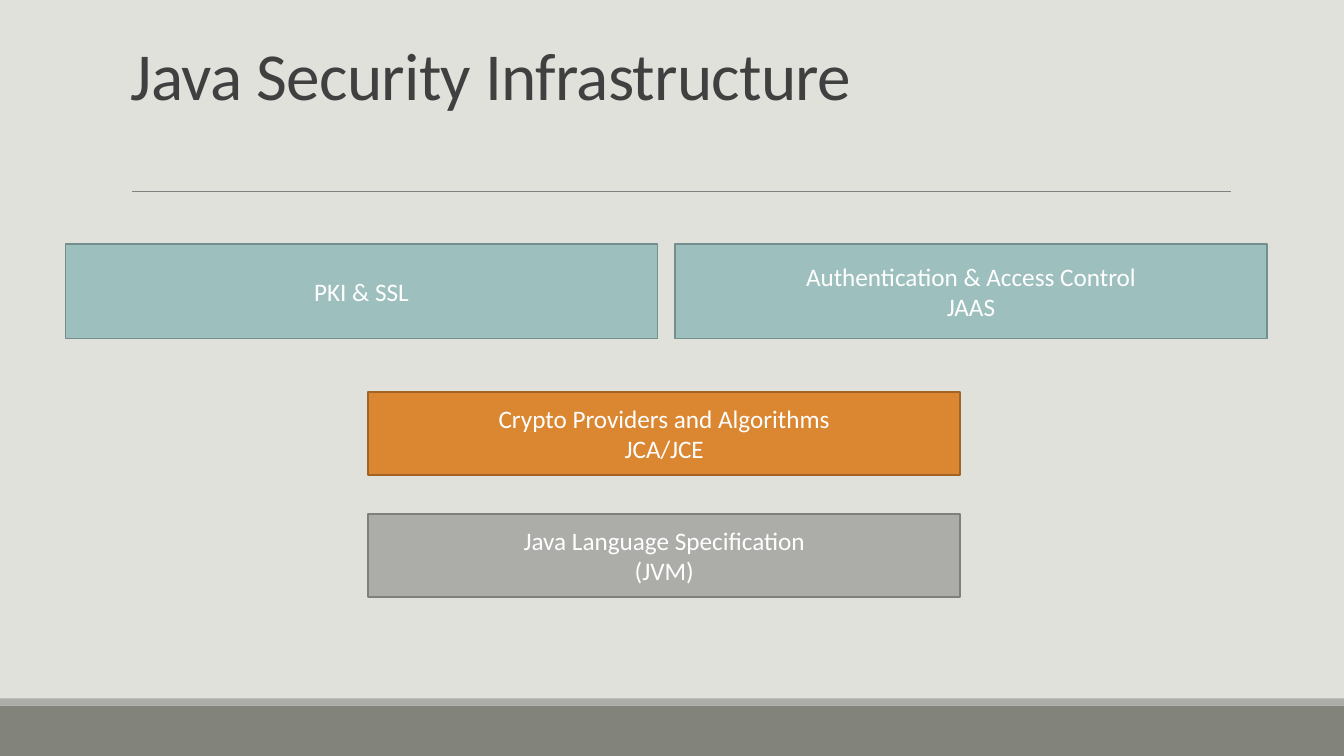
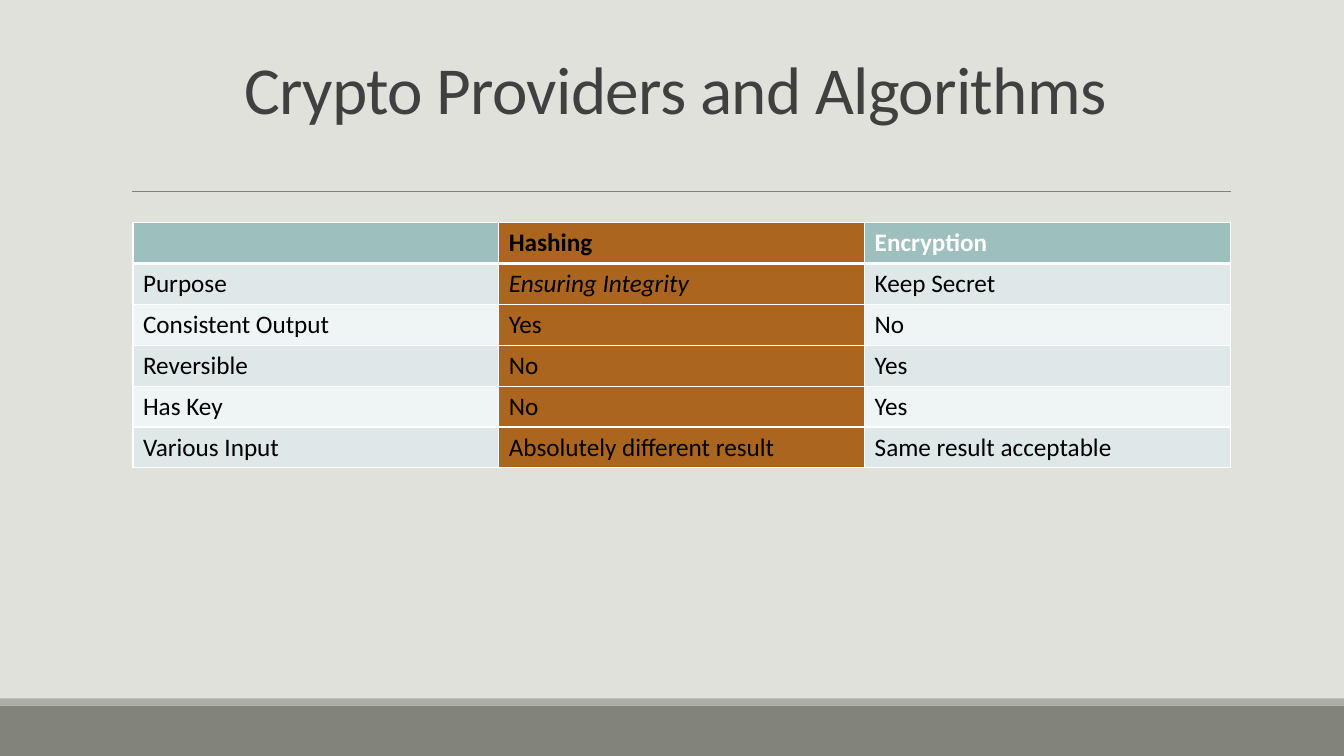
from lxml.etree import SubElement
from pptx import Presentation
from pptx.dml.color import RGBColor
from pptx.enum.shapes import MSO_CONNECTOR, MSO_SHAPE
from pptx.enum.text import MSO_ANCHOR as ANCHOR, PP_ALIGN as ALIGN
from pptx.oxml.ns import qn
from pptx.util import Cm, Pt

FONT = "Calibri"
BACKGROUND, INK, WHITE, BLACK = "E1E1DB", "404040", "FFFFFF", "000000"
RULE, BAND, STRIPE = "808080", "82847C", "ACADA8"
TEAL, ORANGE, GRAY = ("9DBFBE", "748D8D"), ("DB8631", "A26324"), ("ACADA8", "7F807C")
HIGHLIGHT, ROW_FILLS = "AB651E", ("EFF4F4", "DFE8E8")

WIDTH, HEIGHT = 33.87, 19.05
BAND_TOP, STRIPE_TOP = 17.78, 17.6
RULE_LEFT, RULE_RIGHT, RULE_TOP = 3.33, 31.01, 4.83
TITLE_LEFT, TITLE_TOP, TITLE_WIDTH = 3.05, 0.79, 27.94

BOX_WIDTH, BOX_GAP = 14.92, 0.44
LAYERS = [
    (16.05, 6.15, 2.38, TEAL, [["PKI & SSL"], ["Authentication & Access Control", "JAAS"]]),
    (16.74, 9.88, 2.1, ORANGE, [["Crypto Providers and Algorithms", "JCA/JCE"]]),
    (16.74, 12.95, 2.1, GRAY, [["Java Language Specification", "(JVM)"]]),
]

TABLE_LEFT, TABLE_TOP, COL_WIDTH, ROW_HEIGHT = 3.35, 5.61, 9.22, 1.03
COMPARISON = [
    ("", "Hashing", "Encryption"),
    ("Purpose", "Ensuring Integrity", "Keep Secret"),
    ("Consistent Output", "Yes", "No"),
    ("Reversible", "No", "Yes"),
    ("Has Key", "No", "Yes"),
    ("Various Input", "Absolutely different result", "Same result acceptable"),
]
ITALIC_CELL = (1, 1)


def rgb(color):
    return RGBColor.from_string(color)


def add_run(p, text, size, color, bold=False, italic=False):
    r = p.add_run()
    r.text = text
    r.font.name, r.font.size = FONT, Pt(size)
    r.font.bold, r.font.italic = bold, italic
    r.font.color.rgb = rgb(color)
    return r


def add_rect(s, left, top, width, height, fill, line=None):
    sp = s.shapes.add_shape(MSO_SHAPE.RECTANGLE, Cm(left), Cm(top), Cm(width), Cm(height))
    sp.shadow.inherit = False
    sp.fill.solid()
    sp.fill.fore_color.rgb = rgb(fill)
    if line:
        sp.line.color.rgb = rgb(line)
        sp.line.width = Pt(1.25)
    else:
        sp.line.fill.background()
    return sp


def add_slide(prs):
    s = prs.slides.add_slide(prs.slide_layouts[6])
    s.background.fill.solid()
    s.background.fill.fore_color.rgb = rgb(BACKGROUND)
    add_rect(s, 0, BAND_TOP, WIDTH, HEIGHT - BAND_TOP, BAND)
    add_rect(s, 0, STRIPE_TOP, WIDTH, BAND_TOP - STRIPE_TOP, STRIPE)
    rule = s.shapes.add_connector(MSO_CONNECTOR.STRAIGHT, Cm(RULE_LEFT), Cm(RULE_TOP),
                                  Cm(RULE_RIGHT), Cm(RULE_TOP))
    rule.line.color.rgb = rgb(RULE)
    rule.line.width = Pt(0.5)
    SubElement(rule.element.spPr, qn("a:effectLst"))
    return s


def add_title(s, text, height, anchor, align, spacing, inset_top=0.13):
    sp = s.shapes.add_textbox(Cm(TITLE_LEFT), Cm(TITLE_TOP), Cm(TITLE_WIDTH), Cm(height))
    tf = sp.text_frame
    tf.word_wrap = True
    tf.vertical_anchor = anchor
    tf.margin_top = Cm(inset_top)
    p = tf.paragraphs[0]
    p.alignment, p.line_spacing = align, spacing
    r = add_run(p, text, 48, INK)
    r.font._element.set("spc", "-50")


def add_box(s, left, top, height, colors, lines):
    tf = add_rect(s, left, top, BOX_WIDTH, height, *colors).text_frame
    tf.word_wrap = True
    tf.vertical_anchor = ANCHOR.MIDDLE
    for i, line in enumerate(lines):
        p = tf.add_paragraph() if i else tf.paragraphs[0]
        p.alignment = ALIGN.CENTER
        add_run(p, line, 18, WHITE)


def set_borders(cell, top, bottom):
    tcPr = cell._tc.get_or_add_tcPr()
    for i, (side, width) in enumerate([("L", 1), ("R", 1), ("T", top), ("B", bottom)]):
        ln = SubElement(tcPr, qn(f"a:ln{side}"), w=str(Pt(width)))
        SubElement(SubElement(ln, qn("a:solidFill")), qn("a:srgbClr"), val=WHITE)
        tcPr.insert(i, ln)


def add_comparison(s):
    rows, cols = len(COMPARISON), len(COMPARISON[0])
    table = s.shapes.add_table(rows, cols, Cm(TABLE_LEFT), Cm(TABLE_TOP),
                               Cm(cols * COL_WIDTH), Cm(rows * ROW_HEIGHT)).table
    for col in table.columns:
        col.width = Cm(COL_WIDTH)
    for i, row in enumerate(COMPARISON):
        table.rows[i].height = Cm(ROW_HEIGHT)
        for j, text in enumerate(row):
            cell = table.cell(i, j)
            header, highlighted = i == 0, j == 1
            fill = HIGHLIGHT if highlighted else TEAL[0] if header else ROW_FILLS[i % 2]
            cell.fill.solid()
            cell.fill.fore_color.rgb = rgb(fill)
            set_borders(cell, 3 if i == 1 else 1, 3 if header else 1)
            if text:
                color = WHITE if header and not highlighted else BLACK
                add_run(cell.text_frame.paragraphs[0], text, 18, color,
                        header, (i, j) == ITALIC_CELL)


def main():
    prs = Presentation()
    prs.slide_width, prs.slide_height = Cm(WIDTH), Cm(HEIGHT)

    s = add_slide(prs)
    add_title(s, "Java Security Infrastructure", 2.21, ANCHOR.BOTTOM, ALIGN.LEFT, 0.85)
    for center, top, height, colors, boxes in LAYERS:
        step = BOX_WIDTH + BOX_GAP
        left = (center if len(boxes) == 1 else center + 0.74) - (len(boxes) * step - BOX_GAP) / 2
        for i, lines in enumerate(boxes):
            add_box(s, left + i * step, top, height, colors, lines)

    s = add_slide(prs)
    add_title(s, "Crypto Providers and Algorithms", 2.74, ANCHOR.TOP, ALIGN.CENTER, 1.0, 0.41)
    add_comparison(s)

    prs.save("out.pptx")


if __name__ == "__main__":
    main()
